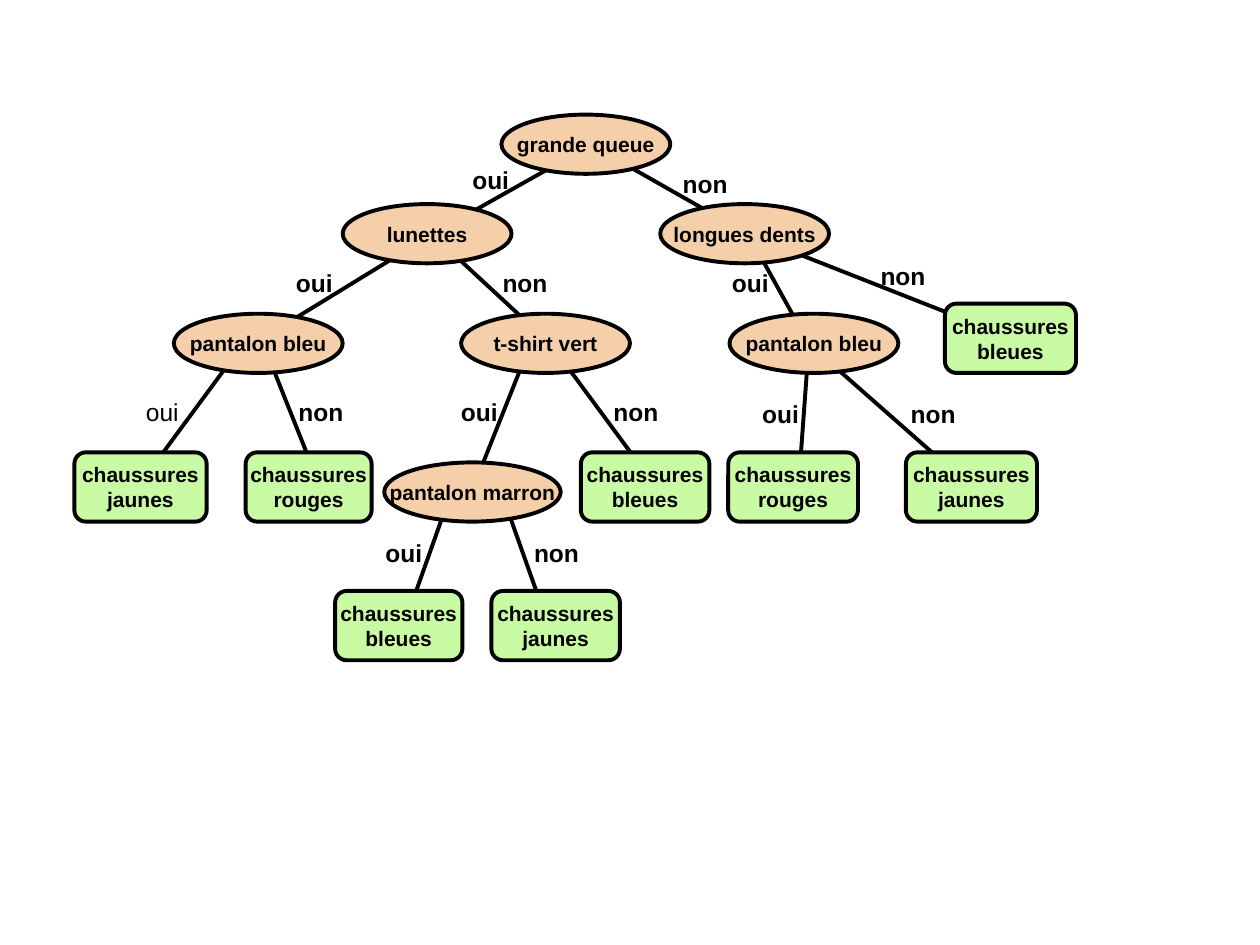
from collections import namedtuple

from lxml.etree import SubElement
from pptx import Presentation
from pptx.dml.color import RGBColor
from pptx.enum.shapes import MSO_CONNECTOR, MSO_SHAPE
from pptx.enum.text import MSO_ANCHOR, MSO_AUTO_SIZE, PP_ALIGN
from pptx.oxml.ns import qn
from pptx.util import Emu, Pt

PX_PER_INCH = 100
COLORS = {"ink": "000000", "question": "F5CFA9", "answer": "C9FAA4"}
FONT = "Arial"
LINE_WIDTH = Pt(2.25)
QUESTION_HEIGHT, ANSWER_HEIGHT, LABEL_HEIGHT = 47, 55, 34
LABEL_WIDTHS = {"oui": 49, "non": 56}

Box = namedtuple("Box", "left top width height")

QUESTIONS = [
    ("grande queue", 339, 0, 134),
    ("lunettes", 213, 71, 134),
    ("longues dents", 465, 71, 134),
    ("pantalon bleu", 79, 158, 134),
    ("t-shirt vert", 307, 158, 134),
    ("pantalon bleu", 520, 158, 134),
    ("pantalon marron", 246, 276, 140),
]
ANSWERS = [
    ("rouges", 519, 268, 103),
    ("bleues", 691, 150, 104),
    ("jaunes", 0, 268, 105),
    ("rouges", 136, 268, 100),
    ("bleues", 402, 268, 102),
    ("jaunes", 660, 268, 104),
    ("bleues", 207, 378, 101),
    ("jaunes", 331, 378, 102),
]
BRANCHES = [
    ("non", (410, 24), (535, 95), (473, 38), True),
    ("oui", (410, 24), (284, 95), (306, 35), True),
    ("oui", (535, 95), (583, 182), (512, 117), True),
    ("non", (535, 95), (756, 182), (630, 111), True),
    ("non", (284, 95), (378, 182), (330, 117), True),
    ("oui", (284, 95), (142, 182), (166, 117), True),
    ("oui", (134, 182), (47, 300), (47, 219), False),
    ("non", (150, 182), (197, 300), (168, 219), True),
    ("oui", (362, 182), (315, 300), (297, 219), True),
    ("non", (378, 182), (465, 300), (418, 219), True),
    ("oui", (583, 182), (575, 292), (536, 221), True),
    ("non", (583, 182), (717, 300), (654, 221), True),
    ("oui", (299, 300), (260, 410), (237, 331), True),
    ("non", (339, 300), (378, 410), (355, 331), True),
]


def px(length):
    """Turn px into EMU."""
    return Emu(length * 914400 // PX_PER_INCH)


def color(name):
    """Look up a named colour."""
    return RGBColor.from_string(COLORS[name])


def write_lines(shape, lines, size, bold=True, align=PP_ALIGN.LEFT):
    """Write one paragraph per line, without wrapping."""
    frame = shape.text_frame
    frame.word_wrap = False
    frame.text = "\n".join(lines)
    for para in frame.paragraphs:
        para.alignment = align
        para.font.name = FONT
        para.font.size = Pt(size)
        para.font.bold = bold
        para.font.color.rgb = color("ink")


def draw_branch(page, box, start, end):
    """Draw a line between two points of the box."""
    points = [px(value) for x, y in (start, end) for value in (box.left + x, box.top + y)]
    line = page.shapes.add_connector(MSO_CONNECTOR.STRAIGHT, *points)
    line.line.color.rgb = color("ink")
    line.line.width = LINE_WIDTH
    SubElement(line._element.spPr, qn("a:effectLst"))


def draw_node(page, box, preset, fill, lines):
    """Draw an outlined node filling the box."""
    node = page.shapes.add_shape(preset, *map(px, box))
    node.shadow.inherit = False
    node.fill.solid()
    node.fill.fore_color.rgb = color(fill)
    node.line.color.rgb = color("ink")
    node.line.width = LINE_WIDTH
    node.text_frame.vertical_anchor = MSO_ANCHOR.MIDDLE
    write_lines(node, lines, 12, align=PP_ALIGN.CENTER)


def draw_label(page, box, text, bold):
    """Write a branch label in the box."""
    label = page.shapes.add_textbox(*map(px, box))
    write_lines(label, [text], 14, bold)
    label.text_frame.auto_size = MSO_AUTO_SIZE.SHAPE_TO_FIT_TEXT


def draw_tree(page, box):
    """Draw the decision tree from the top left of the box."""
    for _, start, end, _, _ in BRANCHES:
        draw_branch(page, box, start, end)
    for text, x, y, width in QUESTIONS:
        place = Box(box.left + x, box.top + y, width, QUESTION_HEIGHT)
        draw_node(page, place, MSO_SHAPE.OVAL, "question", [text])
    for shade, x, y, width in ANSWERS:
        place = Box(box.left + x, box.top + y, width, ANSWER_HEIGHT)
        draw_node(page, place, MSO_SHAPE.ROUNDED_RECTANGLE, "answer", ["chaussures", shade])
    for text, _, _, (x, y), bold in BRANCHES:
        place = Box(box.left + x, box.top + y, LABEL_WIDTHS[text], LABEL_HEIGHT)
        draw_label(page, place, text, bold)


def main():
    """Build and save the deck."""
    deck = Presentation()
    deck.slide_width, deck.slide_height = px(1000), px(750)
    page = deck.slides.add_slide(deck.slide_layouts[6])
    draw_tree(page, Box(59, 91, 795, 433))
    deck.save("out.pptx")


if __name__ == "__main__":
    main()
